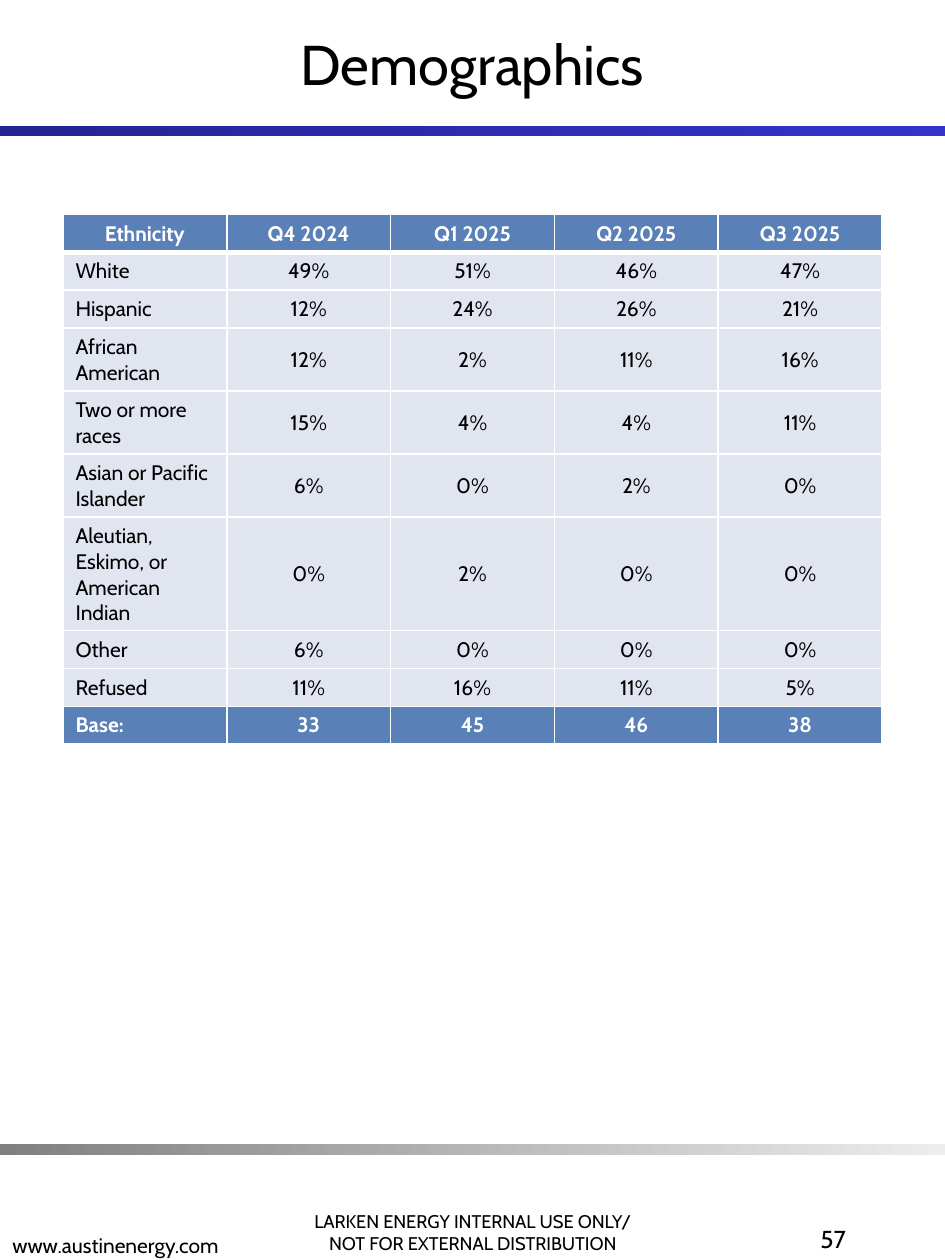
from lxml.etree import SubElement
from pptx import Presentation
from pptx.dml.color import RGBColor
from pptx.enum.shapes import MSO_SHAPE
from pptx.enum.text import MSO_ANCHOR, PP_ALIGN
from pptx.oxml.ns import qn
from pptx.util import Pt

ETHNICITY_ROWS = [
    ["Ethnicity", "Q4 2024", "Q1 2025", "Q2 2025", "Q3 2025"],
    ["White", "49%", "51%", "46%", "47%"],
    ["Hispanic", "12%", "24%", "26%", "21%"],
    ["African American", "12%", "2%", "11%", "16%"],
    ["Two or more races", "15%", "4%", "4%", "11%"],
    ["Asian or Pacific Islander", "6%", "0%", "2%", "0%"],
    ["Aleutian, Eskimo, or American Indian", "0%", "2%", "0%", "0%"],
    ["Other", "6%", "0%", "0%", "0%"],
    ["Refused", "11%", "16%", "11%", "5%"],
    ["Base:", "33", "45", "46", "38"],
]


def color(value):
    return RGBColor.from_string(value)


class SlideBuilder:
    font_name = "Cabin"
    black = "000000"
    white = "FFFFFF"
    accent = "5A80B8"
    body = "E0E5F0"

    def __init__(self, slide):
        self.slide = slide

    def add_text_run(self, paragraph, text, size, fill, align, bold=False):
        paragraph.alignment = align
        run = paragraph.add_run()
        run.text = text
        run.font.name = self.font_name
        run.font.size = Pt(size)
        run.font.bold = bold
        run.font.color.rgb = color(fill)

    def text(self, left, top, width, height, lines, size, align, anchor):
        shape = self.slide.shapes.add_textbox(Pt(left), Pt(top), Pt(width), Pt(height))
        frame = shape.text_frame
        frame.word_wrap = True
        frame.vertical_anchor = anchor
        for index, line in enumerate(lines):
            paragraph = frame.add_paragraph() if index else frame.paragraphs[0]
            self.add_text_run(paragraph, line, size, self.black, align)

    def gradient_bar(self, top, start, end):
        shape = self.slide.shapes.add_shape(
            MSO_SHAPE.RECTANGLE, 0, Pt(top), Pt(540), Pt(6))
        shape.shadow.inherit = False
        shape.line.fill.background()
        shape.fill.gradient()
        shape.fill.gradient_angle = 0
        for stop, value in zip(shape.fill.gradient_stops, (start, end)):
            stop.color.rgb = color(value)

    def borders(self, cell, widths):
        properties = cell._tc.get_or_add_tcPr()
        for index, (side, width) in enumerate(widths.items()):
            line = SubElement(properties, qn(f"a:{side}"), w=str(Pt(width)))
            fill = SubElement(line, qn("a:solidFill"))
            SubElement(fill, qn("a:srgbClr"), val=self.white)
            properties.insert(index, line)

    def table(self, left, top, width, height, row_height, rows):
        shape = self.slide.shapes.add_table(
            len(rows), len(rows[0]), Pt(left), Pt(top),
            Pt(width), Pt(row_height * len(rows)))
        shape.height = Pt(height)
        last = len(rows) - 1
        for row, values in enumerate(rows):
            strong = row in (0, last)
            widths = {
                "lnL": 1,
                "lnR": 1,
                "lnT": 3 if row == 1 else 1,
                "lnB": 3 if row == 0 else 1,
            }
            for column, value in enumerate(values):
                cell = shape.table.cell(row, column)
                cell.vertical_anchor = MSO_ANCHOR.MIDDLE
                cell.fill.solid()
                cell.fill.fore_color.rgb = color(self.accent if strong else self.body)
                self.borders(cell, widths)
                align = PP_ALIGN.CENTER if row == 0 or column else PP_ALIGN.LEFT
                self.add_text_run(cell.text_frame.paragraphs[0], value, 12,
                                  self.white if strong else self.black, align, strong)


def main():
    presentation = Presentation()
    presentation.slide_width = Pt(540)
    presentation.slide_height = Pt(720)
    builder = SlideBuilder(presentation.slides.add_slide(presentation.slide_layouts[6]))

    builder.gradient_bar(72, "242492", "3333CC")
    builder.gradient_bar(654, "808080", "EDEDED")
    builder.text(155.5, 672, 229.5, 48,
                 ["LARKEN ENERGY INTERNAL USE ONLY/", "NOT FOR EXTERNAL DISTRIBUTION"],
                 10.5, PP_ALIGN.CENTER, MSO_ANCHOR.BOTTOM)
    builder.text(0, 674, 229.5, 48, ["www.austinenergy.com"],
                 12, PP_ALIGN.LEFT, MSO_ANCHOR.BOTTOM)
    builder.text(0, 0, 540, 72, ["Demographics"],
                 32, PP_ALIGN.CENTER, MSO_ANCHOR.MIDDLE)
    builder.text(378, 696, 112.5, 48, ["57"],
                 14, PP_ALIGN.RIGHT, MSO_ANCHOR.TOP)
    builder.table(36, 122.5, 468, 316.8, 18, ETHNICITY_ROWS)

    presentation.save("out.pptx")


if __name__ == "__main__":
    main()
